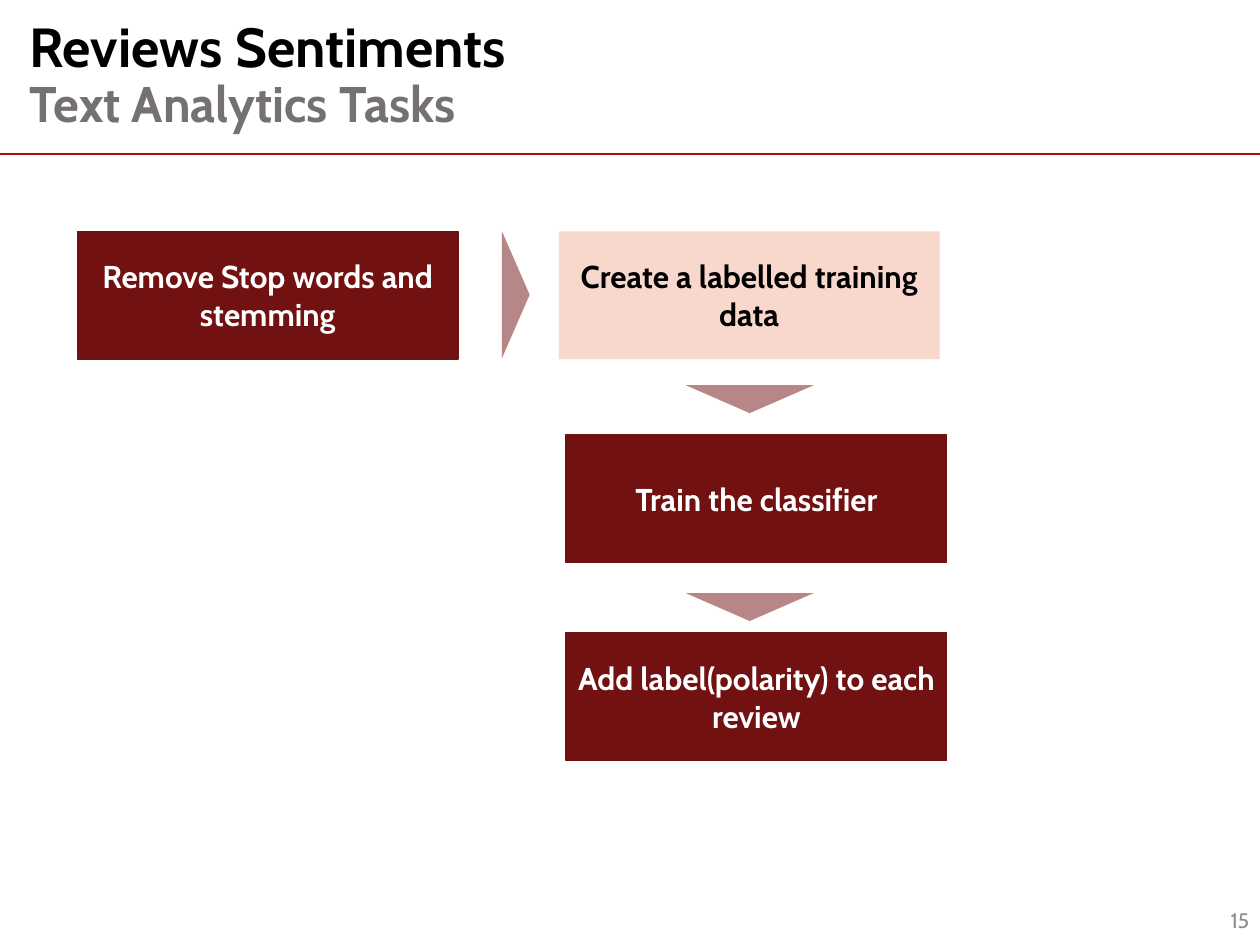
from dataclasses import dataclass

from lxml import etree
from pptx import Presentation
from pptx import util as u
from pptx.dml.color import RGBColor
from pptx.enum import shapes, text
from pptx.oxml.ns import qn

HUES = {
    "wine": "711111", "rose": "F8D7CD", "rule": "AE0E0E", "black": "000000",
    "white": "FFFFFF", "grey": "767171", "pale": "8C8C8C",
}
FONT = "Cabin"
STEP_W, STEP_H = 4.23, 1.42
TIP_W, TIP_H = 1.42, 0.31


@dataclass
class Step:
    label: str
    left: float
    top: float
    fill: str = "wine"
    ink: str = "white"
    edge: bool = True


@dataclass
class Tip:
    left: float
    top: float
    turn: int = 180


STEPS = [
    Step("Remove Stop words and stemming", 0.86, 2.57),
    Step("Create a labelled training data", 6.21, 2.57, "rose", "black", False),
    Step("Train the classifier", 6.29, 4.83),
    Step("Add label(polarity) to each review", 6.29, 7.03),
]
TIPS = [Tip(5.02, 3.12, 90), Tip(7.62, 4.28), Tip(7.62, 6.59)]


def hue(name: str) -> RGBColor:
    return RGBColor.from_string(HUES[name])


def add_run(para, words: str, size: float, ink: str, bold: bool = True) -> None:
    run = para.add_run()
    run.text = words
    font = run.font
    font.name, font.size, font.bold = FONT, u.Pt(size), bold
    font.color.rgb = hue(ink)


def set_frame(shape, align):
    frame = shape.text_frame
    frame.word_wrap = True
    frame.vertical_anchor = text.MSO_ANCHOR.MIDDLE
    para = frame.paragraphs[0]
    para.alignment = align
    return para


def add_box(slide, left: float, top: float, width: float, height: float, align):
    box = slide.shapes.add_textbox(
        u.Inches(left), u.Inches(top), u.Inches(width), u.Inches(height))
    return set_frame(box, align)


def add_form(slide, kind, left: float, top: float, width: float, height: float, fill: str):
    form = slide.shapes.add_shape(
        kind, u.Inches(left), u.Inches(top), u.Inches(width), u.Inches(height))
    form.shadow.inherit = False
    form.fill.solid()
    form.fill.fore_color.rgb = hue(fill)
    form.line.fill.background()
    return form


def draw_step(slide, step: Step) -> None:
    form = add_form(slide, shapes.MSO_SHAPE.RECTANGLE,
                    step.left, step.top, STEP_W, STEP_H, step.fill)
    if step.edge:
        form.line.color.rgb = hue(step.fill)
        form.line.width = u.Pt(1)
    para = set_frame(form, text.PP_ALIGN.CENTER)
    add_run(para, step.label, 25.2, step.ink)


def draw_tip(slide, tip: Tip) -> None:
    form = add_form(slide, shapes.MSO_SHAPE.ISOSCELES_TRIANGLE,
                    tip.left, tip.top, TIP_W, TIP_H, "wine")
    form.rotation = tip.turn
    # Half transparent fill
    tint = form.fill._xPr.find(qn("a:solidFill"))[0]
    etree.SubElement(tint, qn("a:alpha"), val="50000")


def draw_head(slide) -> None:
    rule = slide.shapes.add_connector(
        shapes.MSO_CONNECTOR.STRAIGHT,
        u.Inches(-0.03), u.Inches(1.71), u.Inches(14), u.Inches(1.71))
    rule.line.color.rgb = hue("rule")
    rule.line.width = u.Pt(1.5)
    etree.SubElement(rule._element.spPr, qn("a:effectLst"))

    para = add_box(slide, 0.23, 0, 13.77, 1.71, text.PP_ALIGN.LEFT)
    para.line_spacing = 0.9
    add_run(para, "Reviews Sentiments", 44, "black")
    para.add_line_break()
    add_run(para, "Text Analytics Tasks", 40, "grey")


def main() -> None:
    deck = Presentation()
    deck.slide_width, deck.slide_height = u.Inches(14), u.Inches(10.5)
    slide = deck.slides.add_slide(deck.slide_layouts[6])

    # Title and rule
    draw_head(slide)

    # Page number
    para = add_box(slide, 10.83, 9.94, 3.15, 0.56, text.PP_ALIGN.RIGHT)
    add_run(para, "15", 16.8, "pale", False)

    # Flow of tasks
    for step in STEPS:
        draw_step(slide, step)
    for tip in TIPS:
        draw_tip(slide, tip)

    deck.save("out.pptx")


if __name__ == "__main__":
    main()
